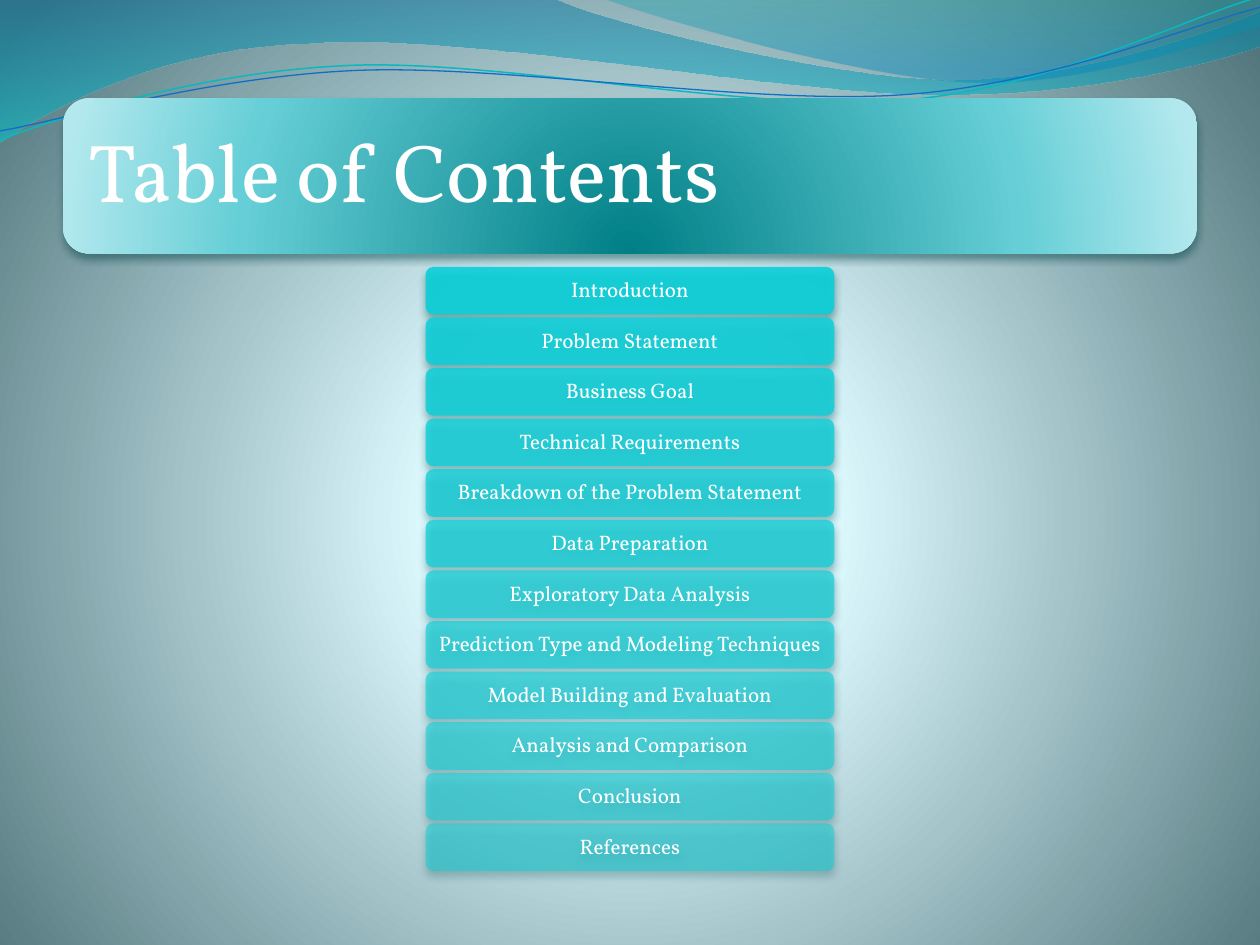
import pptx
import pptx.dml.color
import pptx.enum.shapes
import pptx.enum.text
import pptx.oxml
import pptx.oxml.ns
import pptx.util
from lxml import etree

Cm = pptx.util.Cm
Pt = pptx.util.Pt
qn = pptx.oxml.ns.qn


def color(hex_code):
    return pptx.dml.color.RGBColor.from_string(hex_code)


def add_color(parent, hex_code, opacity=100):
    element = etree.SubElement(parent, qn("a:srgbClr"), val=hex_code)
    if opacity < 100:
        etree.SubElement(element, qn("a:alpha"), val=str(round(opacity * 1000)))


def set_gradient(owner, fill, stops, angle=90, center=None):
    fill.gradient()
    gradient = owner.element.find(".//" + qn("a:gradFill"))
    gradient.clear()
    gradient.set("rotWithShape", "1")
    stop_list = etree.SubElement(gradient, qn("a:gsLst"))
    for position, *stop_color in stops:
        stop = etree.SubElement(stop_list, qn("a:gs"), pos=str(position * 1000))
        add_color(stop, *stop_color)
    if center:
        path_element = etree.SubElement(gradient, qn("a:path"), {"path": "circle"})
        sides = {side: str(value * 1000) for side, value in zip("ltrb", center)}
        etree.SubElement(path_element, qn("a:fillToRect"), sides)
    else:
        etree.SubElement(gradient, qn("a:lin"), ang=str(angle * 60000), scaled="1")


def write_text(shape, text, size, font, text_color, align, insets):
    frame = shape.text_frame
    frame.word_wrap = True
    frame.vertical_anchor = pptx.enum.text.MSO_ANCHOR.MIDDLE
    frame.margin_left = frame.margin_right = Cm(insets[0])
    frame.margin_top = frame.margin_bottom = Cm(insets[1])
    paragraph = frame.paragraphs[0]
    paragraph.alignment = align
    paragraph.line_spacing = 0.9
    run = paragraph.add_run()
    run.text = text
    run.font.size = Pt(size)
    run.font.name = font
    run.font.color.rgb = color(text_color)


class SlideBuilder:
    font = "Vollkorn"
    text_color = "FFFFFF"
    row_color = "0BD0D9"

    def __init__(self, slide):
        self.slide = slide

    def background(self, stops, center):
        set_gradient(self.slide, self.slide.background.fill, stops, center=center)

    def curve(self, start, segments, closed):
        points = [point for segment in segments for point in segment]
        builder = self.slide.shapes.build_freeform(Cm(start[0]), Cm(start[1]))
        builder.add_line_segments([(Cm(x), Cm(y)) for x, y in points], close=closed)
        shape = builder.convert_to_shape()
        shape.shadow.inherit = False
        lines = iter(shape.element.findall(".//" + qn("a:lnTo")))
        for segment in segments:
            first = next(lines)
            if len(segment) == 3:
                bezier = etree.Element(qn("a:cubicBezTo"))
                first.addprevious(bezier)
                for line in (first, next(lines), next(lines)):
                    bezier.append(line[0])
                    line.getparent().remove(line)
        return shape

    def wave(self, start, segments, stops):
        shape = self.curve(start, segments, True)
        set_gradient(shape, shape.fill, stops)
        shape.line.fill.background()

    def wave_line(self, start, segments, line_color, width):
        shape = self.curve(start, segments, False)
        shape.fill.background()
        shape.line.color.rgb = color(line_color)
        shape.line.width = Pt(width)

    def panel(self, left, top, width, height, shadow_color):
        shape = self.slide.shapes.add_shape(
            pptx.enum.shapes.MSO_SHAPE.ROUNDED_RECTANGLE,
            Cm(left), Cm(top), Cm(width), Cm(height))
        shape.line.fill.background()
        shape.shadow.inherit = False
        effects = shape.element.spPr.find(qn("a:effectLst"))
        shadow = etree.SubElement(
            effects, qn("a:outerShdw"), blurRad=str(Pt(4.5)), dist=str(Pt(3)),
            dir="5400000", algn="ctr", rotWithShape="0")
        add_color(shadow, shadow_color, 48)
        return shape

    def title(self, text):
        shape = self.panel(1.27, 1.98, 22.86, 3.13, "024447")
        set_gradient(shape, shape.fill,
                     [(0, "007F86"), (68, "65CED6"), (100, "B3E9EE")],
                     center=(50, 130, 50, -30))
        write_text(shape, text, size=47, font=self.font, text_color=self.text_color,
                   align=pptx.enum.text.PP_ALIGN.LEFT, insets=(0.36, 0.36))

    def row(self, text, top, opacity):
        shape = self.panel(8.58, top, 8.24, 0.96, "024B4E")
        shape.fill.solid()
        shape.fill.fore_color.rgb = color(self.row_color)
        fill_color = shape.element.spPr.find(qn("a:solidFill"))[0]
        etree.SubElement(fill_color, qn("a:alpha"), val=str(round(opacity * 1000)))
        write_text(shape, text, size=12, font=self.font, text_color=self.text_color,
                   align=pptx.enum.text.PP_ALIGN.CENTER, insets=(0.08, 0.03))


LEFT_WAVE = [
    [(11.18, -0.03)],
    [(12.09, 0.43), (16.87, 1.6), (19.25, 1.6)],
    [(21.67, 1.6), (24.33, 0.66), (25.4, 0.23)],
    [(25.43, 0.91)],
    [(24.97, 1.12), (22.1, 1.93), (18.95, 1.91)],
    [(15.8, 1.91), (9.7, 0.71), (6.53, 0.86)],
    [(3.28, 0.91), (1.17, 2.11), (-0.03, 2.87)],
]
RIGHT_WAVE = [
    [(12.93, 0.28), (17.32, 1.57), (19.53, 1.65)],
    [(21.74, 1.75), (24.41, 0.81), (25.4, 0.53)],
    [(25.4, 0)],
]
TEAL_LINE = [
    [(1.22, 2.36), (4.01, 1.45), (7.04, 1.32)],
    [(10.03, 1.19), (15.06, 2.26), (18.11, 2.03)],
    [(21.16, 1.8), (23.83, 0.38), (25.35, -0.05)],
]
BLUE_LINE = [
    [(1.19, 2.44), (4.17, 1.55), (7.19, 1.42)],
    [(10.24, 1.3), (15.16, 2.13), (18.21, 1.91)],
    [(21.23, 1.7), (23.9, 0.53), (25.4, 0.15)],
]
CONTENTS = [
    "Introduction",
    "Problem Statement",
    "Business Goal",
    "Technical Requirements",
    "Breakdown of the Problem Statement",
    "Data Preparation",
    "Exploratory Data Analysis",
    "Prediction Type and Modeling Techniques",
    "Model Building and Evaluation",
    "Analysis and Comparison",
    "Conclusion",
    "References",
]


def main():
    presentation = pptx.Presentation()
    presentation.slide_width = Cm(25.4)
    presentation.slide_height = Cm(19.05)
    builder = SlideBuilder(presentation.slides.add_slide(presentation.slide_layouts[6]))
    builder.background([(0, "DEFBFF"), (25, "DDFAFF"), (100, "52767C")],
                       center=(10, 110, 10, 100))
    builder.wave((0, 0), LEFT_WAVE, [(0, "0074A1", 45), (100, "00C6CF", 55)])
    builder.wave((12.17, -0.03), RIGHT_WAVE, [(0, "00A1A9", 30), (80, "008BBF", 45)])
    builder.wave_line((0, 2.82), TEAL_LINE, "0AB8BF", 0.85)
    builder.wave_line((0, 2.64), BLUE_LINE, "0F6FC6", 0.75)
    builder.title("Table of Contents")
    opacity_step = 40 / (len(CONTENTS) - 1)
    for index, text in enumerate(CONTENTS):
        builder.row(text, top=5.38 + 1.02 * index, opacity=90 - opacity_step * index)
    presentation.save("out.pptx")


if __name__ == "__main__":
    main()
